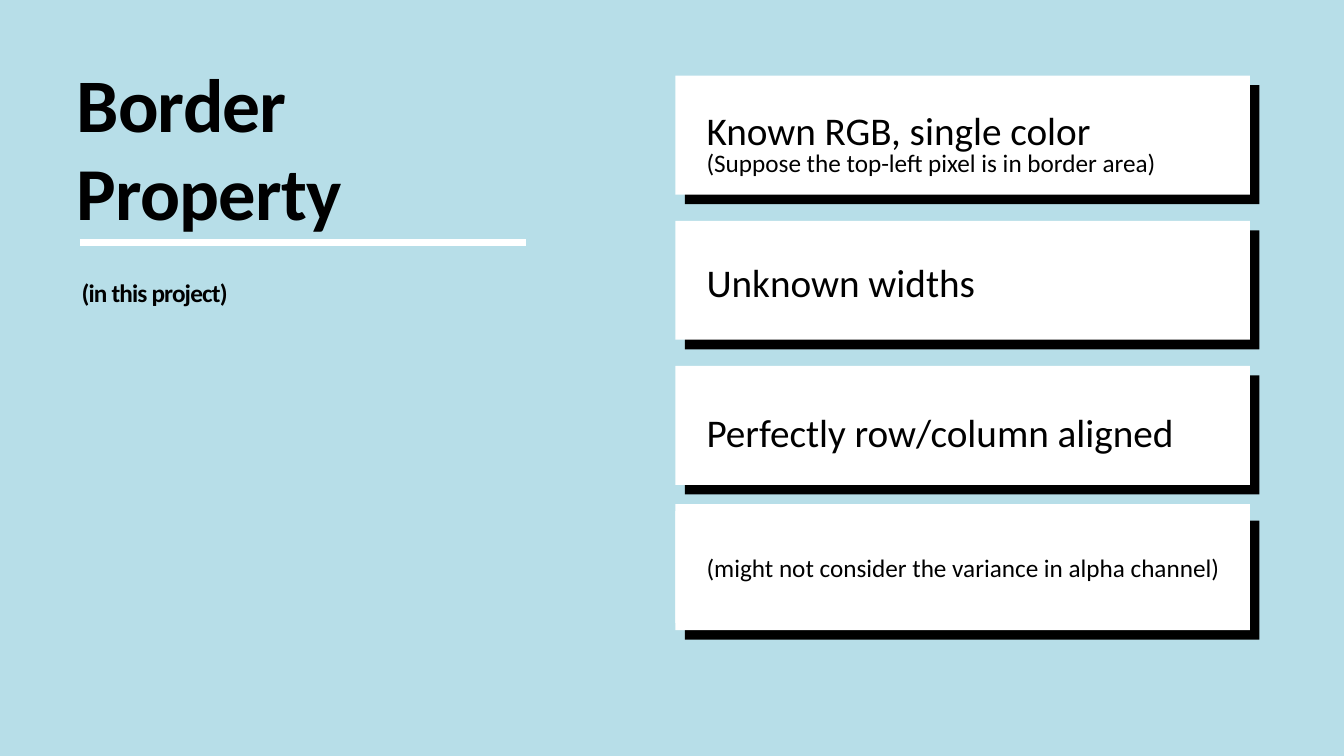
from pptx import Presentation
from pptx.dml.color import RGBColor
from pptx.enum import shapes, text
from pptx.oxml import parse_xml
from pptx.oxml.ns import nsdecls
from pptx.util import Pt

SKY = RGBColor(0xB7, 0xDE, 0xE8)
WHITE = RGBColor(0xFF, 0xFF, 0xFF)
BLACK = RGBColor(0, 0, 0)


class Deck:
    """Holds the style and the current slide, and draws each kind of element."""

    font = "Calibri"
    left, width, height = 482.4, 410.4, 85
    shift = 6.8

    def __init__(self):
        self.prs = Presentation()
        self.prs.slide_width, self.prs.slide_height = Pt(960), Pt(540)
        self.slide = self.prs.slides.add_slide(self.prs.slide_layouts[6])
        fill = self.slide.background.fill
        fill.solid()
        fill.fore_color.rgb = SKY

    def rect(self, x, y, color):
        box = self.slide.shapes.add_shape(
            shapes.MSO_SHAPE.RECTANGLE, Pt(x), Pt(y), Pt(self.width), Pt(self.height))
        box.shadow.inherit = False
        box.fill.solid()
        box.fill.fore_color.rgb = color
        box.line.fill.background()

    def card(self, y):
        self.rect(self.left + self.shift, y + self.shift, BLACK)
        self.rect(self.left, y, WHITE)

    def rule(self, x, y, end):
        line = self.slide.shapes.add_connector(
            shapes.MSO_CONNECTOR.STRAIGHT, Pt(x), Pt(y), Pt(end), Pt(y))
        line.line.color.rgb = WHITE
        line.line.width = Pt(5)
        line._element.spPr.append(parse_xml(f"<a:effectLst {nsdecls('a')}/>"))

    def label(self, x, y, w, h, lines, space=None, bold=False, track=0, wrap=True):
        box = self.slide.shapes.add_textbox(Pt(x), Pt(y), Pt(w), Pt(h))
        frame = box.text_frame
        frame.word_wrap = wrap
        frame.auto_size = text.MSO_AUTO_SIZE.SHAPE_TO_FIT_TEXT
        frame.margin_left = frame.margin_right = 0
        frame.margin_top = frame.margin_bottom = 0
        for i, (words, size) in enumerate(lines):
            para = frame.add_paragraph() if i else frame.paragraphs[0]
            run = para.add_run()
            run.text = words
            para.font.name = self.font
            para.font.size = Pt(size)
            para.font.bold = bold
            para.font.color.rgb = BLACK
            if space:
                para.line_spacing = space
            if track:
                run._r.get_or_add_rPr().set("spc", str(track))


def main():
    deck = Deck()
    head = dict(space=Pt(62.5), bold=True, track=-60)
    deck.label(54.7, 43.2, 347, 127.4, [("Border", 54), ("Property", 53.3)], **head)
    deck.rule(56.9, 173.5, 375.8)
    deck.label(58.3, 157, 105, 52.6, [("(in this project)", 18)], wrap=False, **head)

    for row in range(4):
        deck.card(54 + 103.7 * row)
    deck.rect(deck.left, 360, WHITE)

    for y, w, h, words, size, space in (
        (59, 389, 45.4, "Known RGB, single color", 28, 1.5),
        (105.1, 410.4, 21.6, "(Suppose the top-left pixel is in border area)", 18, None),
        (184.3, 354, 33.8, "Unknown widths", 28, None),
        (291.6, 389, 33.8, "Perfectly row/column aligned", 28, None),
        (394.6, 410.4, 21.6, "(might not consider the variance in alpha channel)", 18, None),
    ):
        deck.label(504.7, y, w, h, [(words, size)], space)
    deck.prs.save("out.pptx")


if __name__ == "__main__":
    main()
